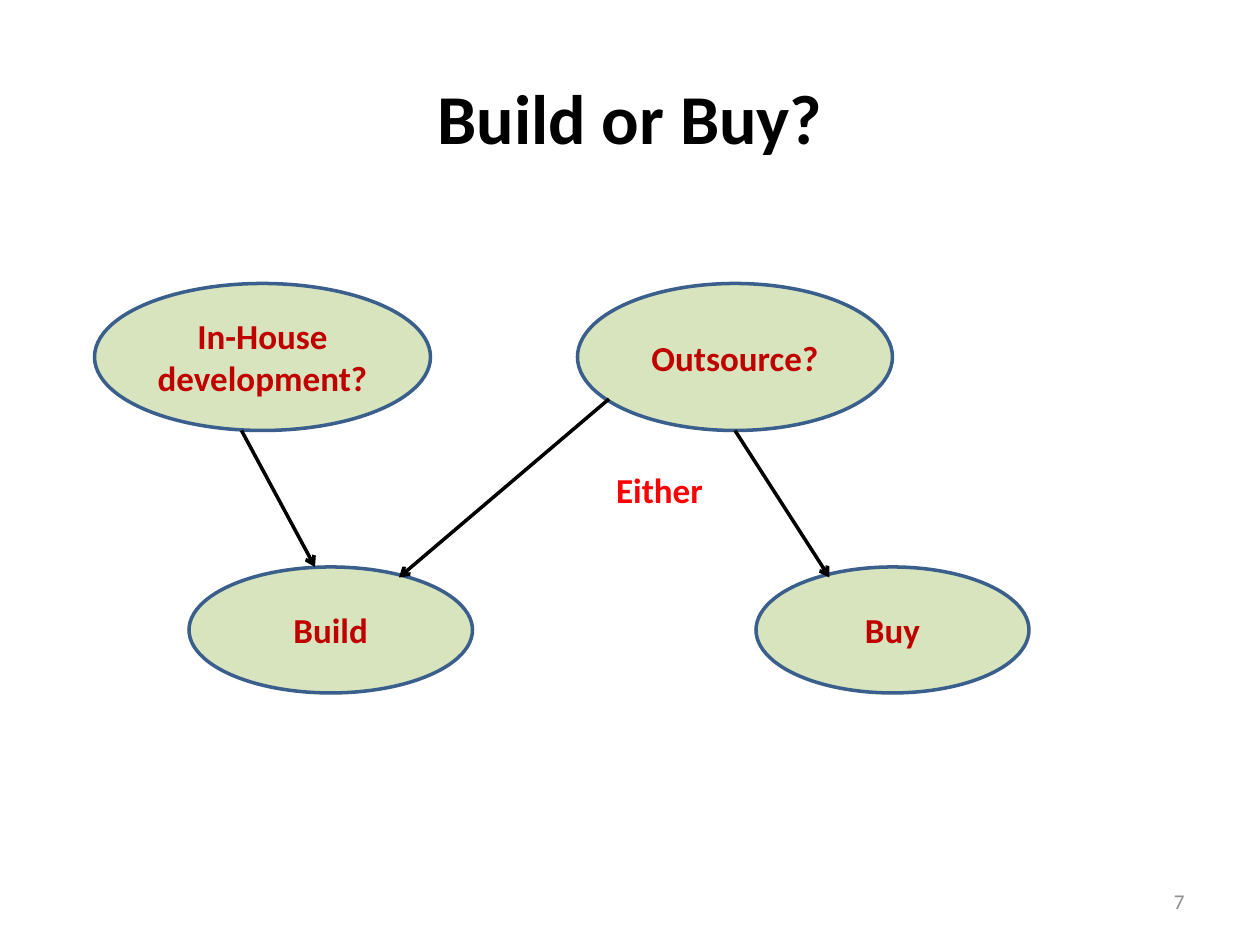
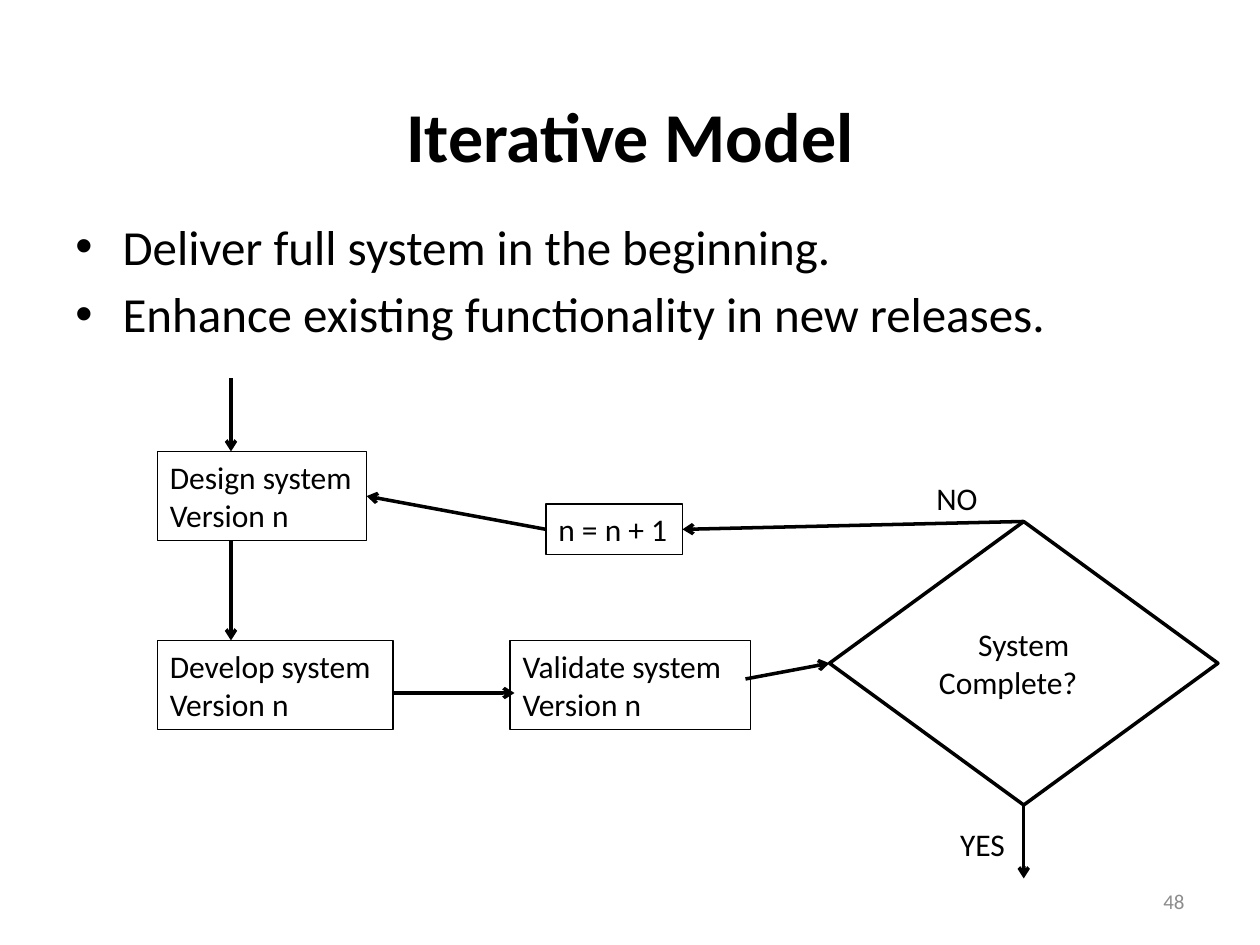
"""Build two slides: the build-or-buy choice and the iterative model."""
from lxml import etree
from pptx import Presentation
from pptx import util as u
from pptx.dml import color
from pptx.enum import shapes, text
from pptx.oxml import ns

COLORS = {
    "ink": "000000",
    "paper": "FFFFFF",
    "leaf": "D7E4BD",
    "edge": "3A5F8C",
    "choice": "C00000",
    "alert": "FF0000",
    "number": "8C8C8C",
}
FONT = "Calibri"
ALIGN = text.PP_ALIGN
ANCHOR = text.MSO_ANCHOR
KIND = shapes.MSO_SHAPE


def rgb(name):
    return color.RGBColor.from_string(COLORS[name])


def write(shape, lines, size=18, ink="ink", bold=False, aligns=(ALIGN.LEFT,),
          anchor=ANCHOR.TOP, wrap=True, before=0, bullet=None):
    frame = shape.text_frame
    frame.word_wrap = wrap
    frame.auto_size = text.MSO_AUTO_SIZE.NONE if wrap else text.MSO_AUTO_SIZE.SHAPE_TO_FIT_TEXT
    frame.vertical_anchor = anchor
    for index, line in enumerate(lines):
        paragraph = frame.add_paragraph() if index else frame.paragraphs[0]
        paragraph.alignment = aligns[min(index, len(aligns) - 1)]
        paragraph.space_before = u.Pt(before)
        run = paragraph.add_run()
        run.text = line
        font = run.font
        font.name, font.size, font.bold = FONT, u.Pt(size), bold
        font.color.rgb = rgb(ink)
        if bullet:
            properties = paragraph._p.get_or_add_pPr()
            properties.set("marL", str(u.Pt(27)))
            properties.set("indent", str(u.Pt(-27)))
            etree.SubElement(properties, ns.qn("a:buFont")).set("typeface", "Arial")
            etree.SubElement(properties, ns.qn("a:buChar")).set("char", bullet)


class Deck:
    def __init__(self):
        self.presentation = Presentation()
        self.presentation.slide_width = u.Pt(720)
        self.presentation.slide_height = u.Pt(540)
        self.slide = None

    def start_slide(self, title, title_top, title_height, number):
        self.slide = self.presentation.slides.add_slide(self.presentation.slide_layouts[6])
        self.label([title], 36, title_top, 648, title_height, size=40, bold=True,
                   aligns=(ALIGN.CENTER,), anchor=ANCHOR.MIDDLE)
        self.label([number], 516, 500.5, 168, 28.75, size=12, ink="number",
                   aligns=(ALIGN.RIGHT,), anchor=ANCHOR.MIDDLE)

    def label(self, lines, left, top, width, height, **style):
        shape = self.slide.shapes.add_textbox(*map(u.Pt, (left, top, width, height)))
        write(shape, lines, **style)

    def node(self, kind, lines, left, top, width, height, fill="paper", edge="ink",
             weight=2, **style):
        shape = self.slide.shapes.add_shape(kind, *map(u.Pt, (left, top, width, height)))
        shape.shadow.inherit = False
        shape.fill.solid()
        shape.fill.fore_color.rgb = rgb(fill)
        shape.line.color.rgb = rgb(edge)
        shape.line.width = u.Pt(weight)
        write(shape, lines, **style)
        return shape

    def choice(self, name, left, top, width, height):
        self.node(KIND.OVAL, [name], left, top, width, height, fill="leaf", edge="edge",
                  size=20, ink="choice", bold=True, aligns=(ALIGN.CENTER,),
                  anchor=ANCHOR.MIDDLE)

    def step(self, lines, left, top, width, height=51):
        return self.node(KIND.RECTANGLE, lines, left, top, width, height, weight=0.75, wrap=False)

    def arrow(self, start=(0, 0), end=(0, 0), source=None, target=None):
        connector = self.slide.shapes.add_connector(
            shapes.MSO_CONNECTOR.STRAIGHT, *map(u.Pt, (*start, *end)))
        if source:
            connector.begin_connect(*source)
        if target:
            connector.end_connect(*target)
        connector.line.color.rgb = rgb("ink")
        connector.line.width = u.Pt(2)
        properties = connector.element.spPr
        etree.SubElement(properties.find(ns.qn("a:ln")), ns.qn("a:tailEnd")).set("type", "arrow")
        etree.SubElement(properties, ns.qn("a:effectLst"))


def build_or_buy(deck):
    deck.start_slide("Build or Buy?", 21.6, 90, "7")
    deck.choice("Outsource?", 330, 162, 180, 84)
    deck.choice("Build", 108, 324, 162, 72)
    deck.choice("Buy", 432, 324, 156, 72)
    deck.choice("In-House development?", 54, 162, 192, 84)
    for start, end in (((138, 246), (180, 324)),
                       ((348, 228), (228, 330)),
                       ((420, 246), (474, 330))):
        deck.arrow(start, end)
    deck.label(["Either"], 345, 264, 69, 31.5, size=20, ink="alert", bold=True, wrap=False)


def iterative_model(deck):
    deck.start_slide("Iterative Model", 39.6, 74, "48")
    deck.label(["Deliver full system in the beginning.",
                "Enhance existing functionality in new releases."],
               36, 120, 648, 396, size=28, before=5, bullet="•")
    design = deck.step(["Design system", "Version n"], 90, 258, 119.5)
    deck.step(["Develop system", "Version n"], 90, 366, 134.6)
    deck.step(["Validate system", "Version n"], 291.5, 366, 137.5)
    complete = deck.node(KIND.DIAMOND, ["System", "Complete?"], 474, 298, 222, 162,
                         aligns=(ALIGN.CENTER, ALIGN.LEFT), anchor=ANCHOR.MIDDLE)
    increment = deck.step(["n = n + 1"], 312, 288, 78, 29)
    deck.arrow((132, 216), (132, 258))
    deck.arrow((132, 309), (132, 366))
    deck.arrow((224.6, 396), (294, 396))
    deck.arrow((426, 388), target=(complete, 1))
    deck.arrow(end=(585, 502), source=(complete, 2))
    deck.arrow(source=(complete, 0), target=(increment, 3))
    deck.arrow(source=(increment, 1), target=(design, 3))
    deck.label(["YES"], 541.5, 468, 40, 29, wrap=False)
    deck.label(["NO"], 528, 270, 38, 29, wrap=False)


def main():
    deck = Deck()
    build_or_buy(deck)
    iterative_model(deck)
    deck.presentation.save("out.pptx")


if __name__ == "__main__":
    main()
